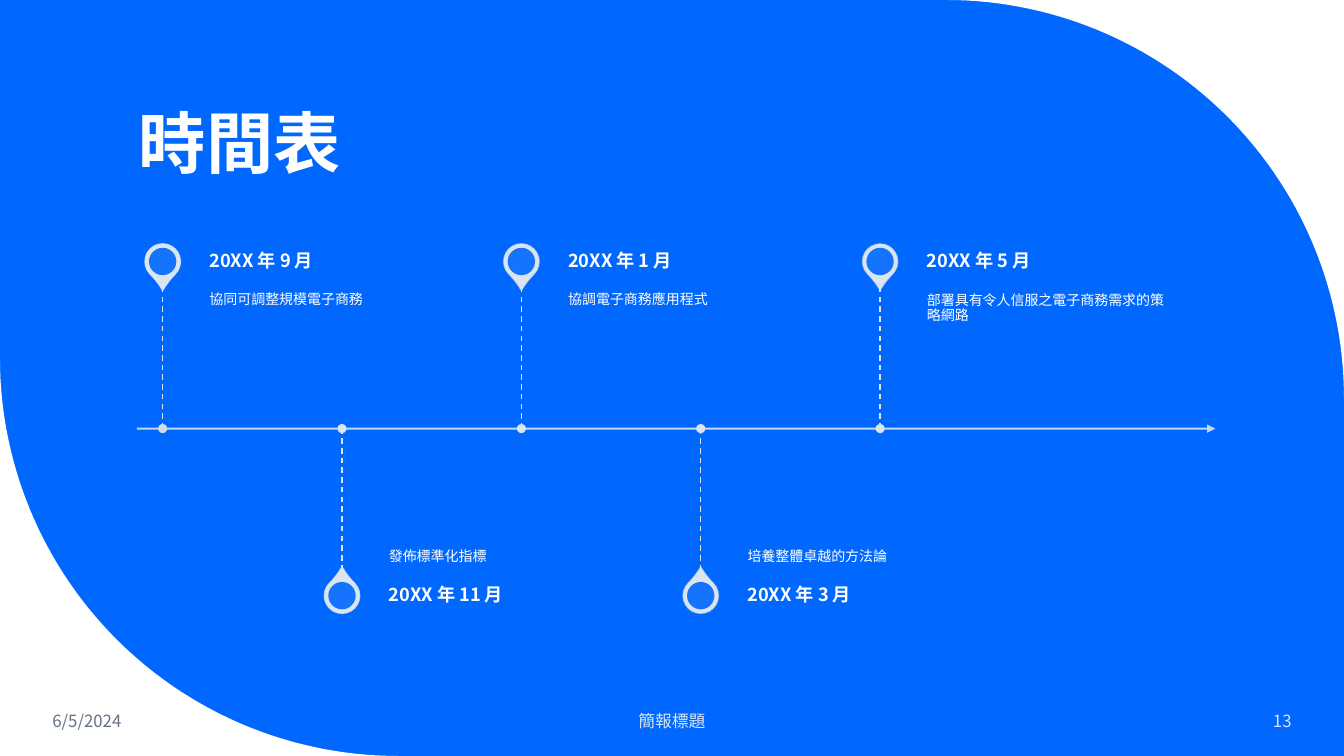
from dataclasses import dataclass
from math import cos, pi, sin

from lxml.etree import SubElement
from pptx import Presentation
from pptx.dml.color import RGBColor as Rgb
from pptx.enum.dml import MSO_LINE as Dash
from pptx.enum.shapes import MSO_CONNECTOR as Connector, MSO_SHAPE as Preset
from pptx.enum.text import MSO_ANCHOR as Anchor, PP_ALIGN as Align
from pptx.oxml.ns import qn
from pptx.util import Cm, Pt


@dataclass(frozen=True)
class Theme:
    font: str = "Noto Sans CJK TC"
    blue: Rgb = Rgb(0x00, 0x68, 0xFF)
    white: Rgb = Rgb(0xFF, 0xFF, 0xFF)
    pale: Rgb = Rgb(0xDA, 0xE5, 0xEF)
    first_dot: Rgb = Rgb(0xD0, 0xDB, 0xE4)
    grey: Rgb = Rgb(0x63, 0x71, 0x83)
    title: int = 48
    date: int = 13
    detail: int = 10
    footer: int = 12


theme = Theme()


def write(box, text, size, color, bold=False, anchor=Anchor.MIDDLE,
          align=Align.LEFT, spacing=1.0, insets=(0.25, 0.13, 0.25, 0.13)):
    """Fill a text shape with one formatted paragraph; insets are in cm."""
    frame = box.text_frame
    frame.word_wrap = True
    frame.vertical_anchor = anchor
    (frame.margin_left, frame.margin_top,
     frame.margin_right, frame.margin_bottom) = map(Cm, insets)
    paragraph = frame.paragraphs[0]
    paragraph.alignment = align
    paragraph.line_spacing = spacing
    run = paragraph.add_run()
    run.text = text
    run.font.size, run.font.bold = Pt(size), bold
    run.font.color.rgb = color
    run.font.name = theme.font
    SubElement(run._r.rPr, qn("a:ea"), typeface=theme.font)


def draw_line(x1, y1, x2, y2, width, dash):
    """Draw a pale line without shadow and return its a:ln element."""
    rule = slide.shapes.add_connector(
        Connector.STRAIGHT, Cm(x1), Cm(y1), Cm(x2), Cm(y2))
    rule.line.color.rgb = theme.pale
    rule.line.width = Pt(width)
    rule.line.dash_style = dash
    properties = rule._element.spPr
    SubElement(properties, qn("a:effectLst"))
    return properties.find(qn("a:ln"))


# Slide and background
WIDTH, HEIGHT = 33.87, 19.05
deck = Presentation()
deck.slide_width, deck.slide_height = Cm(WIDTH), Cm(HEIGHT)
slide = deck.slides.add_slide(deck.slide_layouts[5])
slide.background.fill.solid()
slide.background.fill.fore_color.rgb = theme.blue

# White corners outside the quarter circles, the second turned by 180 degrees
RADIUS, STEPS = 10.03, 60
angles = [pi / 2 * step / STEPS for step in range(STEPS + 1)]
top_right = [(WIDTH, 0)] + [
    (WIDTH - RADIUS + RADIUS * sin(a), RADIUS - RADIUS * cos(a)) for a in angles]
bottom_left = [(WIDTH - x, HEIGHT - y) for x, y in top_right]
for outline in (top_right, bottom_left):
    points = [(Cm(x), Cm(y)) for x, y in outline]
    builder = slide.shapes.build_freeform(*points[0])
    builder.add_line_segments(points[1:], close=True)
    corner = builder.convert_to_shape()
    corner.shadow.inherit = False
    corner.fill.solid()
    corner.fill.fore_color.rgb = theme.white
    corner.line.fill.background()

# Title
heading = slide.shapes.title
heading.left, heading.top, heading.width, heading.height = map(
    Cm, (3.25, 1.07, 27.15, 3.68))
write(heading, "時間表", theme.title, theme.white, bold=True,
      anchor=Anchor.BOTTOM, spacing=0.9)

# Time axis
AXIS_Y = 10.8
axis = draw_line(3.45, AXIS_Y, 30.63, AXIS_Y, 1.5, Dash.SOLID)
SubElement(axis.find(".//" + qn("a:srgbClr")), qn("a:alpha"), val="90000")
SubElement(axis, qn("a:tailEnd"), type="triangle")

# Milestones, alternately above and below the axis
milestones = [
    ("20XX 年 9 月", "協同可調整規模電子商務"),
    ("20XX 年 11 月", "發佈標準化指標"),
    ("20XX 年 1 月", "協調電子商務應用程式"),
    ("20XX 年 3 月", "培養整體卓越的方法論"),
    ("20XX 年 5 月", "部署具有令人信服之電子商務需求的策略網路"),
]
FIRST_X, STEP_X = 4.1, 4.52
STEM, PIN_REACH = 3.58, 4.21
TEXT_GAP, TEXT_WIDTH, DATE_HEIGHT = 1.18, 6.44, 1.27

for index, (date, detail) in enumerate(milestones):
    x = FIRST_X + index * STEP_X
    above = index % 2 == 0
    side = -1 if above else 1
    stem_end = AXIS_Y + side * STEM
    pin_y = AXIS_Y + side * PIN_REACH
    draw_line(x, AXIS_Y, x, stem_end, 1, Dash.DASH)

    # Pin, its eye and the dot on the axis
    dot_color = theme.pale if index else theme.first_dot
    for preset, size, y, color in (
            (Preset.TEAR, 0.89, pin_y, theme.pale),
            (Preset.OVAL, 0.69, pin_y, theme.blue),
            (Preset.OVAL, 0.23, AXIS_Y, dot_color)):
        mark = slide.shapes.add_shape(
            preset, Cm(x - size / 2), Cm(y - size / 2), Cm(size), Cm(size))
        mark.shadow.inherit = False
        mark.fill.solid()
        mark.fill.fore_color.rgb = color
        fade = None
        if preset == Preset.TEAR:
            mark.adjustments[0] = 1.15
            mark.rotation = 135 if above else 315
            mark.line.color.rgb = color
            mark.line.width = Pt(1)
            fade = (qn("a:ln"), 90 - 10 * index)
        else:
            mark.line.fill.background()
            if color == theme.blue:
                fade = (qn("a:solidFill"), 90)
        if fade:
            tag, percent = fade
            tint = mark._element.spPr.find(tag).find(".//" + qn("a:srgbClr"))
            SubElement(tint, qn("a:alpha"), val=str(percent * 1000))

    # Detail beside the stem, date beside the pin
    detail_top = stem_end if above else AXIS_Y
    date_top = stem_end - DATE_HEIGHT if above else stem_end
    detail_box = slide.shapes.add_textbox(
        Cm(x + TEXT_GAP), Cm(detail_top), Cm(TEXT_WIDTH), Cm(STEM))
    write(detail_box, detail, theme.detail, theme.white, spacing=0.9,
          anchor=Anchor.TOP if above else Anchor.BOTTOM,
          insets=(0, 0.18, 0.18, 0.25) if above else (0, 0.25, 0, 0.18))
    date_box = slide.shapes.add_textbox(
        Cm(x + TEXT_GAP), Cm(date_top), Cm(TEXT_WIDTH), Cm(DATE_HEIGHT))
    write(date_box, date, theme.date, theme.white, bold=True, spacing=0.9,
          insets=(0, 0, 0.23, 0))

# Footer
for text, left, width, color, align in (
        ("6/5/2024", 1.07, 4.72, theme.grey, Align.LEFT),
        ("簡報標題", 11.22, 11.43, theme.pale, Align.CENTER),
        ("13", 28.2, 4.6, theme.pale, Align.RIGHT)):
    footer = slide.shapes.add_textbox(Cm(left), Cm(17.65), Cm(width), Cm(1.02))
    write(footer, text, theme.footer, color, align=align)

deck.save("out.pptx")
